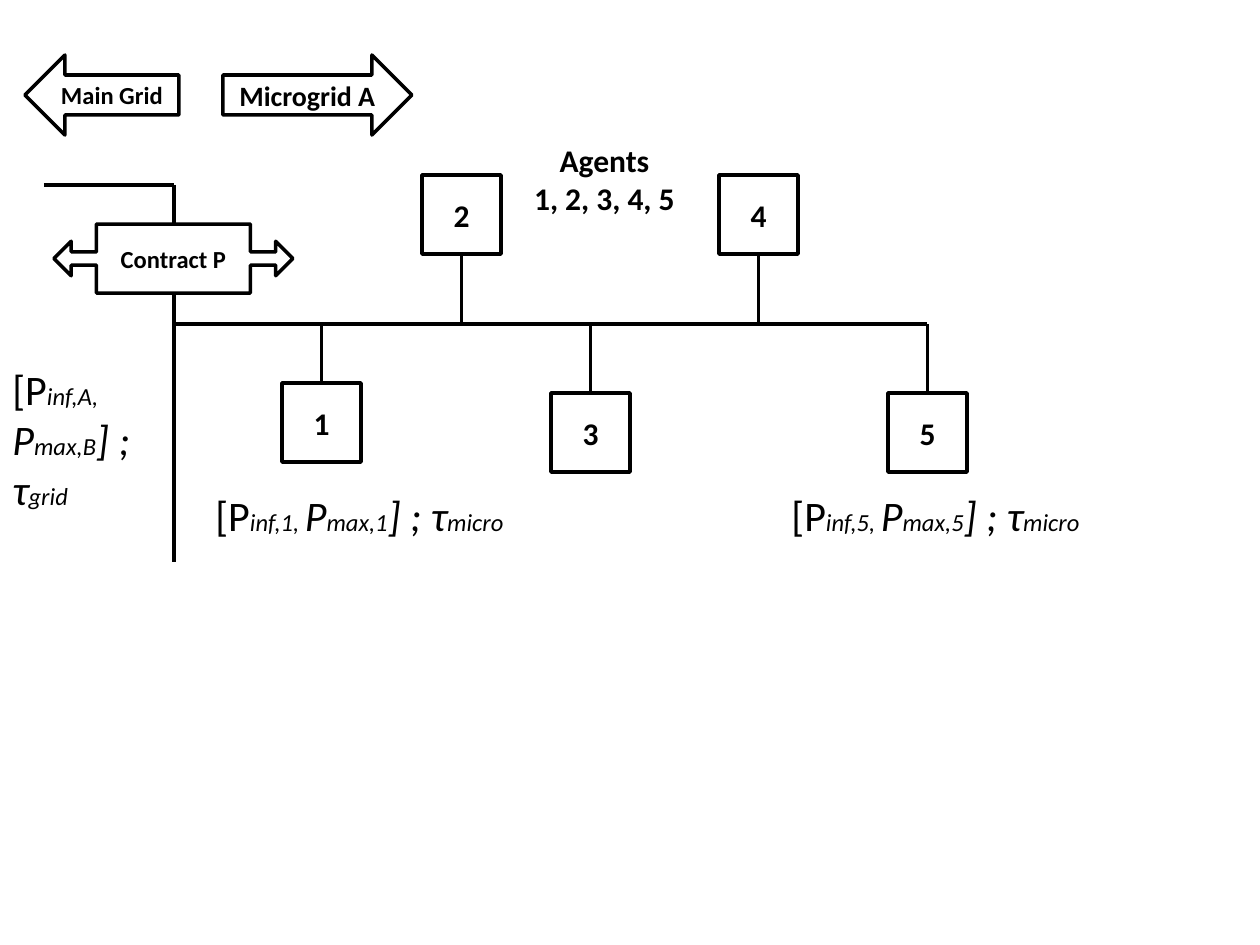
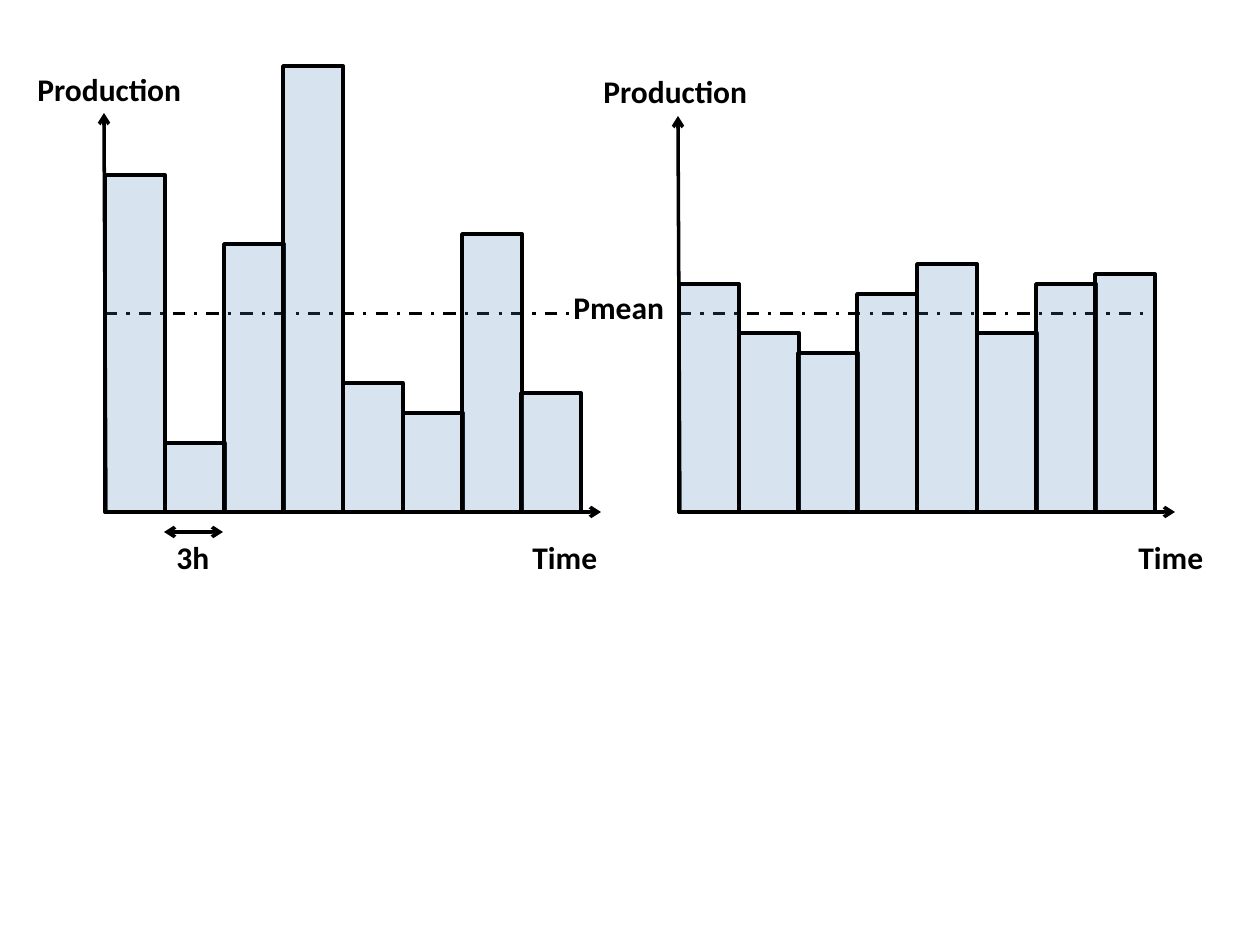
from dataclasses import dataclass

from lxml.etree import SubElement
from pptx import Presentation
from pptx.dml.color import RGBColor
from pptx.enum.dml import MSO_LINE
from pptx.enum.shapes import MSO_CONNECTOR, MSO_SHAPE
from pptx.enum.text import MSO_ANCHOR, MSO_AUTO_SIZE, PP_ALIGN
from pptx.oxml.ns import qn
from pptx.util import Pt

SCALE = 914400 / 126
COLORS = {"ink": "000000", "bar": "4F81BD"}
FONT = "Calibri"
BOX = 79      # side of an agent's box
BUS = 324     # height of the shared power line
FEED = 174    # where the main grid line runs down
BASE = 512    # foot of the bars
MEAN = 314    # height of the mean line
STEP = 59.5   # width of one bar, three hours
UNIT = 9.92   # height of one unit of power


@dataclass
class Agent:
    """A numbered box, hung from or set upon the bus."""
    name: str
    left: int
    top: int


@dataclass
class Block:
    """An outlined shape with a bold label."""
    kind: MSO_SHAPE
    label: str
    place: tuple[int, int, int, int]
    size: int
    tweaks: tuple[float, ...] = ()


@dataclass
class Plot:
    """A bar plot: left edge, top and foot of its axis, bar units."""
    left: int
    top: int
    foot: int
    bars: tuple[int, ...]


AGENTS = (Agent("1", 282, 383), Agent("3", 551, 393), Agent("2", 422, 175),
          Agent("4", 719, 175), Agent("5", 888, 393))
BLOCKS = (
    Block(MSO_SHAPE.RIGHT_ARROW, "Microgrid A", (223, 55, 189, 80), 16),
    Block(MSO_SHAPE.LEFT_ARROW, "Main Grid", (25, 55, 154, 80), 14),
    Block(MSO_SHAPE.LEFT_RIGHT_ARROW_CALLOUT, "Contract P", (54, 224, 239, 69), 14,
          (0.194, 0.25, 0.25, 0.644)),
)
WIRES = ((44, 185, FEED, 185), (FEED, 185, FEED, 224),
         (FEED, 293, FEED, 562), (FEED, BUS, 927, BUS))
PLOTS = (Plot(105, 113, 512, (34, 7, 27, 45, 13, 10, 28, 12)),
         Plot(679, 116, 514, (23, 18, 16, 22, 25, 18, 23, 24)))
LABELS = (("Production", (25, 64, 198, 50)), ("Production", (591, 66, 198, 50)),
          ("Time", (520, 532, 118, 50)), ("Time", (1126, 532, 118, 50)),
          ("3h", (164, 532, 79, 50)), ("Pmean", (561, 282, 118, 50)))


def emu(*pixels):
    """Turn pixels into EMU."""
    return [round(p * SCALE) for p in pixels]


def tint(name):
    """Look up a colour by name."""
    return RGBColor.from_string(COLORS[name])


def write(para, text, *, size=18, bold=False, slant=False, align=PP_ALIGN.LEFT):
    """Add a run of text to a paragraph."""
    para.alignment = align
    run = para.add_run()
    run.text = text
    font = run.font
    font.name, font.size, font.bold, font.italic = FONT, Pt(size), bold, slant
    font.color.rgb = tint("ink")


def add_line(slide, ends, *, width=2.0, dash=None, head=False, tail=False):
    """Draw a straight line, with arrowheads or dashes if asked."""
    line = slide.shapes.add_connector(MSO_CONNECTOR.STRAIGHT, *emu(*ends))
    line.line.color.rgb = tint("ink")
    line.line.width = Pt(width)
    if dash:
        line.line.dash_style = dash
    stroke = line.line._get_or_add_ln()
    for wanted, tag in ((head, "a:headEnd"), (tail, "a:tailEnd")):
        if wanted:
            SubElement(stroke, qn(tag)).set("type", "arrow")
    SubElement(line._element.spPr, qn("a:effectLst"))


def add_shape(slide, kind, place):
    """Draw an unfilled shape with a black outline."""
    shape = slide.shapes.add_shape(kind, *emu(*place))
    shape.shadow.inherit = False
    shape.fill.background()
    shape.line.color.rgb = tint("ink")
    shape.line.width = Pt(2)
    return shape


def add_block(slide, block):
    """Draw a shape with its label in the middle."""
    shape = add_shape(slide, block.kind, block.place)
    for i, tweak in enumerate(block.tweaks):
        shape.adjustments[i] = tweak
    frame = shape.text_frame
    frame.vertical_anchor = MSO_ANCHOR.MIDDLE
    write(frame.paragraphs[0], block.label, size=block.size, bold=True,
          align=PP_ALIGN.CENTER)


def add_frame(slide, place):
    """Add a wrapping text box and give back its frame."""
    frame = slide.shapes.add_textbox(*emu(*place)).text_frame
    frame.word_wrap = True
    frame.auto_size = MSO_AUTO_SIZE.SHAPE_TO_FIT_TEXT
    return frame


def add_range(slide, place, low, high, price):
    """Write a power range and its price, with small indices."""
    para = add_frame(slide, place).paragraphs[0]
    parts = ("[P", f"inf,{low}, ", "P", f"max,{high}", "] ; τ", price)
    for i, part in enumerate(parts):
        write(para, part, size=14 if i % 2 else 24, slant=i > 0)


def add_agent(slide, agent):
    """Draw an agent's box and the stem that joins it to the bus."""
    mid = agent.left + BOX / 2
    edge = agent.top if agent.top > BUS else agent.top + BOX
    add_line(slide, (mid, edge, mid, BUS))
    place = (agent.left, agent.top, BOX, BOX)
    add_block(slide, Block(MSO_SHAPE.RECTANGLE, agent.name, place, 18))


def add_plot(slide, plot):
    """Draw axes, mean line and see-through bars."""
    left = plot.left
    add_line(slide, (left, BASE, left + 496, BASE), tail=True)
    add_line(slide, (left + 1, plot.foot, left - 1, plot.top), tail=True)
    add_line(slide, (left, MEAN, left + 466, MEAN), width=1.75, dash=MSO_LINE.DASH_DOT)
    for i, units in enumerate(plot.bars):
        tall = round(units * UNIT)
        bar = add_shape(slide, MSO_SHAPE.RECTANGLE,
                        (left + round(i * STEP), BASE - tall, round(STEP), tall))
        bar.fill.solid()
        bar.fill.fore_color.rgb = tint("bar")
        shade = bar._element.spPr.find(qn("a:solidFill"))[0]
        SubElement(shade, qn("a:alpha")).set("val", "22000")


def draw_grid(slide):
    """Draw the microgrid, its agents and its contract."""
    for ends in WIRES:
        add_line(slide, ends)
    for agent in AGENTS:
        add_agent(slide, agent)
    for block in BLOCKS:
        add_block(slide, block)
    frame = add_frame(slide, (515, 135, 179, 89))
    for para, text in ((frame.paragraphs[0], "Agents"),
                       (frame.add_paragraph(), "1, 2, 3, 4, 5")):
        write(para, text, bold=True, align=PP_ALIGN.CENTER)
    add_range(slide, (203, 483, 357, 63), "1", "1", "micro")
    add_range(slide, (779, 483, 348, 63), "5", "5", "micro")
    add_range(slide, (0, 357, 154, 165), "A", "B", "grid")


def draw_plots(slide):
    """Draw the two output plots and their labels."""
    for plot in PLOTS:
        add_plot(slide, plot)
    add_line(slide, (164, 532, 223, 532), head=True, tail=True)
    for text, place in LABELS:
        write(add_frame(slide, place).paragraphs[0], text, bold=True)


def main():
    """Build and save the deck."""
    deck = Presentation()
    deck.slide_width, deck.slide_height = emu(1260, 945)
    for draw in (draw_grid, draw_plots):
        draw(deck.slides.add_slide(deck.slide_layouts[6]))
    deck.save("out.pptx")


main()
